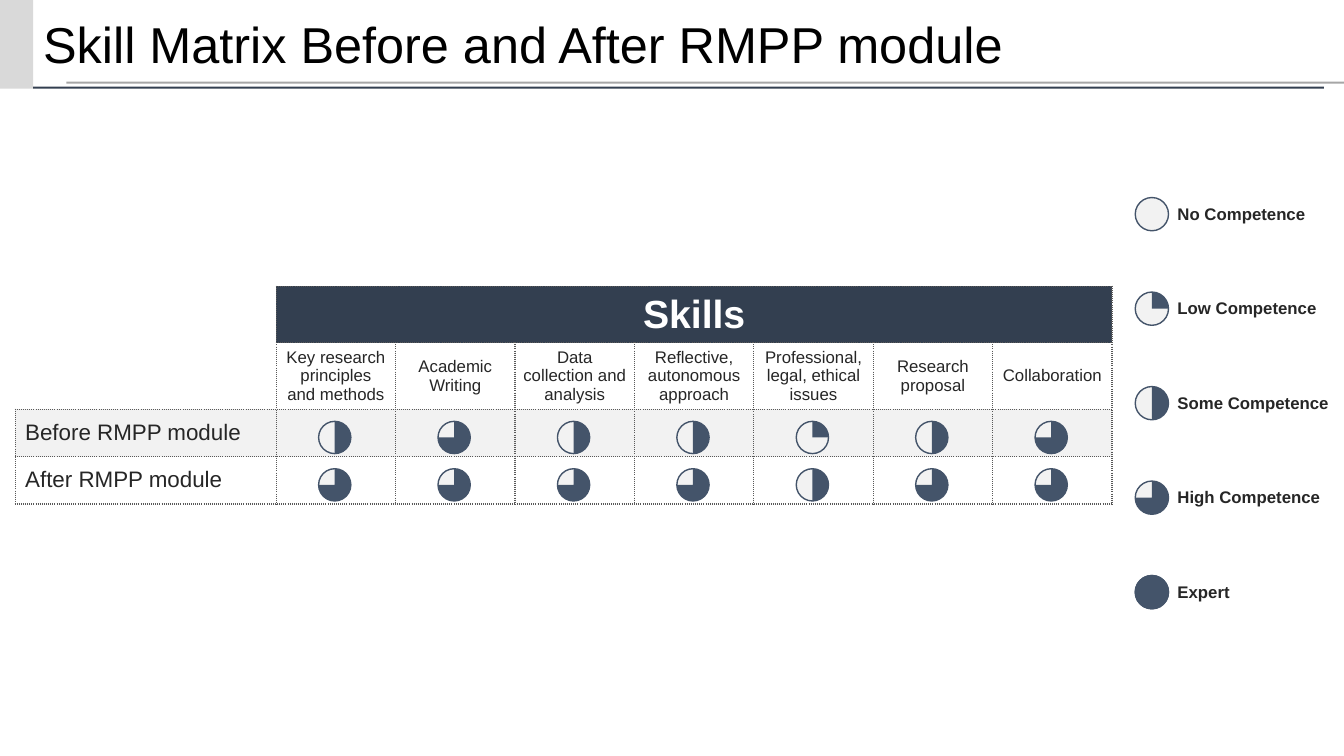
from lxml.etree import SubElement
from pptx import Presentation
from pptx.dml.color import RGBColor
from pptx.enum.shapes import MSO_SHAPE as Shape
from pptx.enum.text import MSO_ANCHOR as Anchor, PP_ALIGN as Align
from pptx.oxml.ns import qn
from pptx.util import Pt

SCALE = 9144  # EMU per px, 100 px to the inch
NAVY, SLATE, PALE, WHITE, INK = "333F50", "44546A", "F2F2F2", "FFFFFF", "262626"

# Scores and levels count filled quarters
SKILLS = [
    ("Key research principles and methods", 2, 3),
    ("Academic Writing", 3, 3),
    ("Data collection and analysis", 2, 3),
    ("Reflective, autonomous approach", 2, 3),
    ("Professional, legal, ethical issues", 1, 2),
    ("Research proposal", 2, 3),
    ("Collaboration", 3, 3),
]
STAGES = [("Before RMPP module", PALE), ("After RMPP module", WHITE)]
LEVELS = ["No Competence", "Low Competence", "Some Competence",
          "High Competence", "Expert"]


def px(length):
    return round(length * SCALE)


def color(value):
    return RGBColor.from_string(value)


def add_part(page, kind, box, fill, line=None):
    part = page.shapes.add_shape(kind, *map(px, box))
    part.shadow.inherit = False
    part.fill.solid()
    part.fill.fore_color.rgb = color(fill)
    if line:
        part.line.color.rgb = color(line)
        part.line.width = Pt(1)
    else:
        part.line.fill.background()
    return part


def write(frame, text, size, ink, bold=False, align=Align.LEFT):
    para = frame.paragraphs[0]
    para.alignment = align
    run = para.add_run()
    run.text = text
    run.font.name = "Arial"
    run.font.size = Pt(size)
    run.font.bold = bold
    run.font.color.rgb = color(ink)


def add_label(page, box, text, size, ink, bold=False, wrap=True):
    label = page.shapes.add_textbox(*map(px, box))
    label.text_frame.word_wrap = wrap
    label.text_frame.vertical_anchor = Anchor.MIDDLE
    write(label.text_frame, text, size, ink, bold)


def add_score(page, box, quarters):
    add_part(page, Shape.OVAL, box, PALE, SLATE)
    if quarters == 4:
        add_part(page, Shape.OVAL, box, SLATE, SLATE)
    elif quarters:
        wedge = add_part(page, Shape.PIE, box, SLATE)
        wedge.rotation = 270
        wedge.adjustments[0] = 0
        wedge.adjustments[1] = 54 * quarters  # 90 degrees each


def fill_cell(cell, fill):
    cell.fill.solid()
    cell.fill.fore_color.rgb = color(fill)
    cell.vertical_anchor = Anchor.MIDDLE


def add_borders(cell, sides):
    properties = cell._tc.get_or_add_tcPr()
    for order, side in enumerate(sides):
        border = SubElement(properties, qn(f"a:ln{side}"), w=str(Pt(1)))
        paint = SubElement(border, qn("a:solidFill"))
        SubElement(paint, qn("a:srgbClr"), val="595959")
        SubElement(border, qn("a:prstDash"), val="sysDot")
        properties.insert(order, border)


def add_header(page, left, top, width, height):
    add_part(page, Shape.RECTANGLE, (left, top, 33, height), "D9D9D9")
    add_label(page, (left + 33, top + 7, width - 53, 71),
              "Skill Matrix Before and After RMPP module", 36, "000000")
    add_part(page, Shape.RECTANGLE,
             (left + 66, top + 81, width - 66, 2), "A6A6A6")
    add_part(page, Shape.RECTANGLE,
             (left + 33, top + 86, width - 53, 2), NAVY)


def add_matrix(page, left, top, width, height):
    first = 259
    step = (width - first) / len(SKILLS)
    heights = [56, 66, 47, 47]
    table = page.shapes.add_table(
        len(heights), len(SKILLS) + 1,
        *map(px, (left, top, width, height))).table
    table.first_row = table.horz_banding = False
    for row, size in zip(table.rows, heights):
        row.height = px(size)
    for index, column in enumerate(table.columns):
        column.width = px(step if index else first)

    # Heading and empty corner
    table.cell(0, 0).merge(table.cell(1, 0))
    table.cell(0, 0).fill.background()
    heading = table.cell(0, 1)
    heading.merge(table.cell(0, len(SKILLS)))
    fill_cell(heading, NAVY)
    write(heading.text_frame, "Skills", 28, WHITE, True, Align.CENTER)

    # Skill names
    for column, (skill, *_) in enumerate(SKILLS, 1):
        cell = table.cell(1, column)
        fill_cell(cell, WHITE)
        cell.margin_left = cell.margin_right = px(8)
        cell.margin_top = cell.margin_bottom = px(3)
        write(cell.text_frame, skill, 12, INK, align=Align.CENTER)

    # Stages and their scores
    for stage, (name, fill) in enumerate(STAGES):
        row = stage + 2
        for column in range(len(SKILLS) + 1):
            fill_cell(table.cell(row, column), fill)
        write(table.cell(row, 0).text_frame, name, 16, INK)
        score_top = top + sum(heights[:row]) + 12
        for index, (_, *scores) in enumerate(SKILLS):
            score_left = left + first + index * step + 42
            add_score(page, (score_left, score_top, 32, 32), scores[stage])

    for cell in table.iter_cells():
        if not cell.is_spanned:
            corner = cell.is_merge_origin and cell.span_height > 1
            add_borders(cell, "RB" if corner else "LRTB")


def add_legend(page, left, top, width, height):
    step = (height - 33) / (len(LEVELS) - 1)
    for quarters, level in enumerate(LEVELS):
        level_top = top + quarters * step
        add_score(page, (left, level_top, 33, 33), quarters)
        add_label(page, (left + 32, level_top + 1, width - 32, 30),
                  level, 12, INK, True, wrap=False)


def main():
    deck = Presentation()
    deck.slide_width, deck.slide_height = px(1333), px(750)
    page = deck.slides.add_slide(deck.slide_layouts[6])
    add_matrix(page, 15, 284, 1088, 216)
    add_header(page, 0, 0, 1333, 88)
    add_legend(page, 1126, 196, 203, 408)
    deck.save("out.pptx")


if __name__ == "__main__":
    main()
